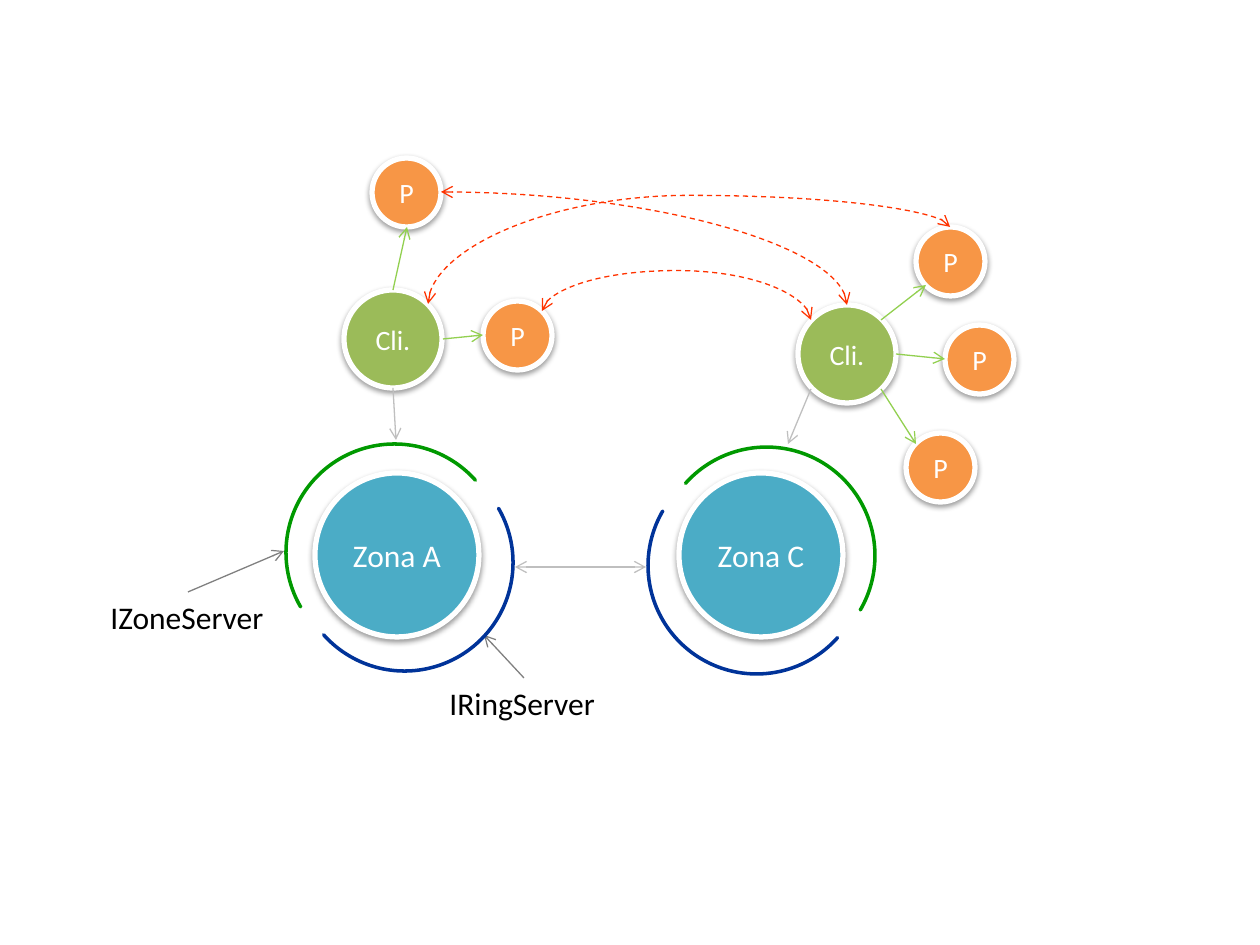
from math import cos, radians, sin

from lxml import etree
from pptx import Presentation
from pptx.dml.color import RGBColor
from pptx.enum.dml import MSO_LINE
from pptx.enum.shapes import MSO_CONNECTOR, MSO_SHAPE
from pptx.enum.text import MSO_ANCHOR, MSO_AUTO_SIZE, PP_ALIGN
from pptx.oxml.ns import qn
from pptx.util import Inches, Pt

PIXEL = 914400 / 126
ELLIPSE, BLOCK_ARC = MSO_SHAPE.OVAL, MSO_SHAPE.BLOCK_ARC
STRAIGHT, CURVE = MSO_CONNECTOR.STRAIGHT, MSO_CONNECTOR.CURVE
DASH = MSO_LINE.DASH
MIDDLE, CENTER, LEFT = MSO_ANCHOR.MIDDLE, PP_ALIGN.CENTER, PP_ALIGN.LEFT
GROW = MSO_AUTO_SIZE.SHAPE_TO_FIT_TEXT

WHITE, BLACK, ARC_FILL = "FFFFFF", "000000", "4F81BD"
ZONE, CLIENT, PEER = "4BACC6", "9BBB59", "F79646"
GREEN_ARC, BLUE_ARC = "009900", "003399"
GREEN_LINE, RED_LINE, LIGHT_GRAY, GRAY = "92D050", "FF3300", "BFBFBF", "808080"


def px(length):
    return round(length * PIXEL)


def color(hex_value):
    return RGBColor.from_string(hex_value)


def child(parent, tag, **attributes):
    return etree.SubElement(parent, qn(tag), attributes)


class Diagram:
    """Draws the parts of a network diagram on one slide in a shared style."""

    font = "Calibri"

    def __init__(self, slide):
        self.shapes = slide.shapes

    def add_text(self, shape, text, size, text_color, align, **frame_format):
        frame = shape.text_frame
        for name, value in frame_format.items():
            setattr(frame, name, value)
        paragraph = frame.paragraphs[0]
        paragraph.alignment = align
        run = paragraph.add_run()
        run.text = text
        for name, value in {"name": self.font, "size": Pt(size)}.items():
            setattr(run.font, name, value)
        run.font.color.rgb = color(text_color)

    def outline(self, line, line_color, width):
        line.color.rgb = color(line_color)
        line.width = Pt(width)

    def filled(self, kind, left, top, size, fill, line_color, width):
        shape = self.shapes.add_shape(kind, px(left), px(top), px(size), px(size))
        shape.shadow.inherit = False
        shape.fill.solid()
        shape.fill.fore_color.rgb = color(fill)
        self.outline(shape.line, line_color, width)
        return shape

    def node(self, text, left, top, diameter, fill, size):
        shape = self.filled(ELLIPSE, left, top, diameter, fill, WHITE, 3)
        effects = shape._element.spPr.find(qn("a:effectLst"))
        shadow = child(effects, "a:outerShdw", blurRad="40000", dist="20000",
                       dir="5400000", rotWithShape="0")
        shade = child(shadow, "a:srgbClr", val=BLACK)
        child(shade, "a:alpha", val="38000")
        self.add_text(shape, text, size, WHITE, CENTER, vertical_anchor=MIDDLE)

    def arc(self, left, top, rotation, line_color, mirrored):
        shape = self.filled(BLOCK_ARC, left, top, 217, ARC_FILL, line_color, 2)
        for index, value in enumerate((108, 208.96, 0)):
            shape.adjustments[index] = value
        shape.rotation = rotation
        shape._element.spPr.find(qn("a:ln")).set("cap", "rnd")
        if mirrored:
            shape._element.spPr.find(qn("a:xfrm")).set("flipH", "1")

    def arrow(self, start, end, line_color, both=False, kind=STRAIGHT, rotation=0):
        angle = radians(-rotation)
        center_x, center_y = ((a + b) / 2 for a, b in zip(start, end))
        half_x, half_y = ((b - a) / 2 for a, b in zip(start, end))
        turned_x = half_x * cos(angle) - half_y * sin(angle)
        turned_y = half_x * sin(angle) + half_y * cos(angle)
        connector = self.shapes.add_connector(
            kind, px(center_x - turned_x), px(center_y - turned_y),
            px(center_x + turned_x), px(center_y + turned_y))
        self.outline(connector.line, line_color, 0.75)
        properties = connector._element.spPr
        line = properties.find(qn("a:ln"))
        for tag in ("a:headEnd", "a:tailEnd")[0 if both else 1:]:
            child(line, tag, type="arrow")
        child(properties, "a:effectLst")
        return connector

    def curve(self, start, end, rotation, preset, bend):
        connector = self.arrow(start, end, RED_LINE, True, CURVE, rotation)
        connector.line.dash_style = DASH
        properties = connector._element.spPr
        properties.find(qn("a:xfrm")).set("rot", str(rotation * 60000))
        geometry = properties.find(qn("a:prstGeom"))
        geometry.set("prst", preset)
        if bend:
            guides = geometry.find(qn("a:avLst"))
            child(guides, "a:gd", name="adj1", fmla=f"val {round(bend * 100000)}")

    def label(self, text, left, top, width):
        box = self.shapes.add_textbox(px(left), px(top), px(width), px(50))
        self.add_text(box, text, 18, BLACK, LEFT, word_wrap=False, auto_size=GROW)


presentation = Presentation()
presentation.slide_width, presentation.slide_height = Inches(10), Inches(7.5)
diagram = Diagram(presentation.slides.add_slide(presentation.slide_layouts[6]))

for name, left in (("Zona A", 315), ("Zona C", 679)):
    diagram.node(name, left, 473, 164, ZONE, 18)
for left, top in ((344, 290), (798, 305)):
    diagram.node("Cli.", left, top, 98, CLIENT, 16)
for left, top in ((916, 227), (945, 325), (906, 433), (372, 158), (483, 301)):
    diagram.node("P", left, top, 69, PEER, 16)

for start, end, line_color in (
    ((393, 290), (407, 227), GREEN_LINE),
    ((443, 339), (483, 335), GREEN_LINE),
    ((881, 320), (926, 285), GREEN_LINE),
    ((896, 354), (945, 359), GREEN_LINE),
    ((881, 389), (916, 444), GREEN_LINE),
    ((393, 388), (396, 440), LIGHT_GRAY),
    ((811, 389), (788, 444), LIGHT_GRAY),
    ((188, 592), (284, 551), GRAY),
    ((524, 678), (484, 635), GRAY),
):
    diagram.arrow(start, end, line_color)
diagram.arrow((646, 567), (515, 567), LIGHT_GRAY, both=True)

for start, end, rotation, preset, bend in (
    ((811, 320), (542, 311), 270, "curvedConnector3", 5.5),
    ((847, 305), (441, 192), 270, "curvedConnector2", None),
    ((428, 304), (950, 227), 90, "curvedConnector3", 1.41),
):
    diagram.curve(start, end, rotation, preset, bend)

for left, top, rotation, line_color, mirrored in (
    (286, 444, 330, GREEN_ARC, False),
    (296, 454, 150, BLUE_ARC, False),
    (658, 447, 30, GREEN_ARC, True),
    (648, 457, 210, BLUE_ARC, True),
):
    diagram.arc(left, top, rotation, line_color, mirrored)

diagram.label("IZoneServer", 98, 592, 180)
diagram.label("IRingServer", 437, 678, 173)

presentation.save("out.pptx")
